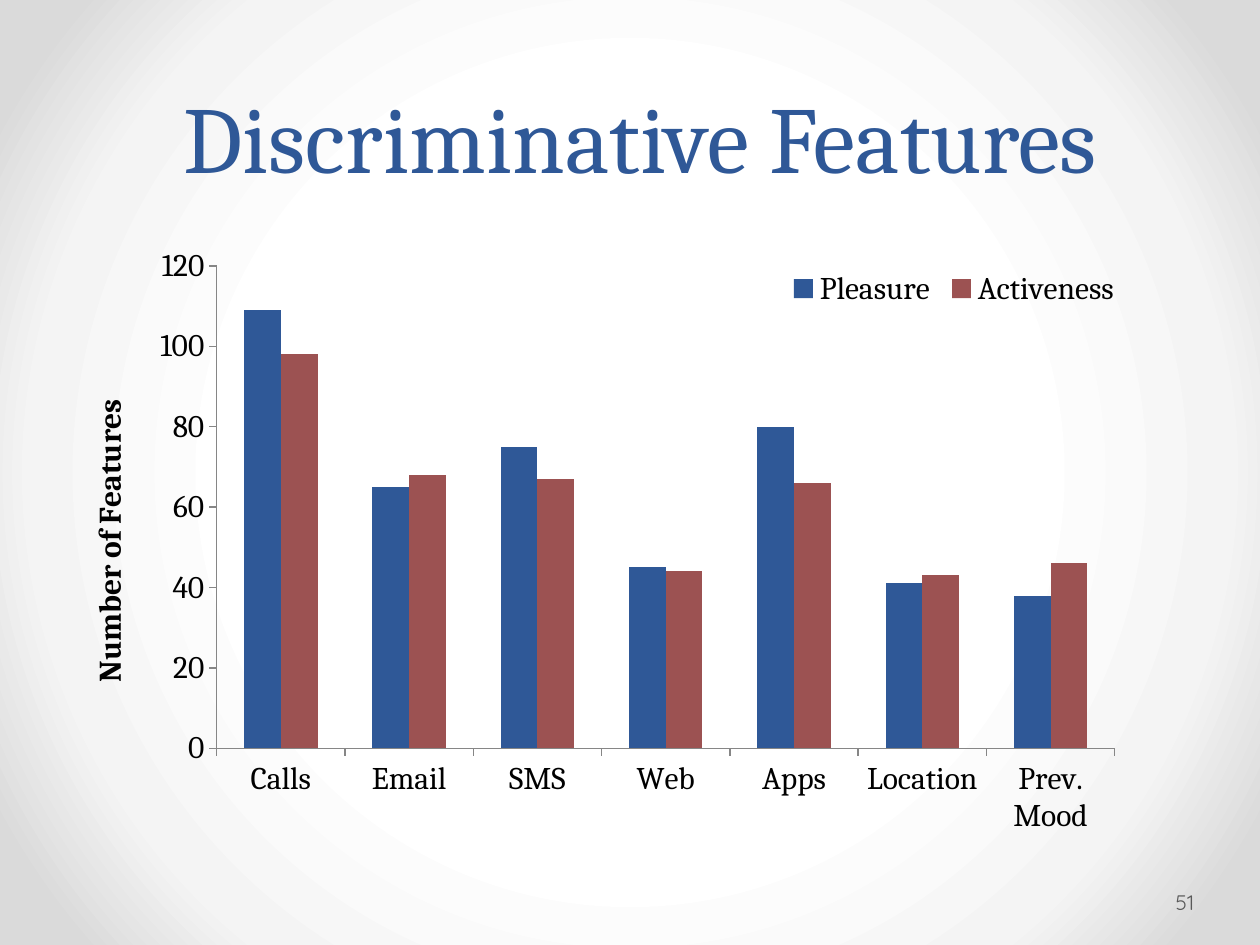
"""Builds the slide comparing discriminative features for pleasure and activeness."""
from lxml import etree
from pptx import Presentation
from pptx import util as u
from pptx.chart.data import CategoryChartData
from pptx.dml.color import RGBColor
from pptx.enum import chart as ch, text
from pptx.oxml import parse_xml
from pptx.oxml.ns import nsdecls, qn

BLUE = RGBColor(0x2F, 0x58, 0x97)
RED = RGBColor(0x9C, 0x52, 0x52)
BLACK = RGBColor(0, 0, 0)
GREY = RGBColor(0x59, 0x59, 0x59)
AXIS_GREY = RGBColor(0x86, 0x86, 0x86)
WHITE = RGBColor(0xFF, 0xFF, 0xFF)
PALE = RGBColor(0xF4, 0xF4, 0xF4)
SILVER = RGBColor(0xDA, 0xDA, 0xDA)

FEATURES = ["Calls", "Email", "SMS", "Web", "Apps", "Location", "Prev. Mood"]
COUNTS = {
    "Pleasure": (BLUE, [109, 65, 75, 45, 80, 41, 38]),
    "Activeness": (RED, [98, 68, 67, 44, 66, 43, 46]),
}


class Deck:
    SERIF, SANS = "Cambria", "Quicksand"

    def __init__(self, width=10, height=7.5):
        self.prs = Presentation()
        self.prs.slide_width, self.prs.slide_height = u.Inches(width), u.Inches(height)
        self.slide = self.prs.slides.add_slide(self.prs.slide_layouts[5])

    def box(self, left, top, width, height):
        across, down = self.prs.slide_width, self.prs.slide_height
        return int(left * across), int(top * down), int(width * across), int(height * down)

    def style(self, font, size, color, face):
        font.size, font.name, font.color.rgb = u.Pt(size), face, color

    def background(self, stops):
        marks = "".join(f'<a:gs pos="{share * 1000}"><a:srgbClr val="{color}"/></a:gs>'
                        for share, color in stops)
        glow = parse_xml(
            f'<a:gradFill {nsdecls("a")} rotWithShape="1"><a:gsLst>{marks}</a:gsLst>'
            '<a:path path="circle"><a:fillToRect l="50000" t="50000" r="50000" b="50000"/>'
            '</a:path></a:gradFill>')
        fill = self.slide.background.fill
        fill.solid()
        plain = self.slide.element.find(".//" + qn("p:bgPr")).find(qn("a:solidFill"))
        plain.getparent().replace(plain, glow)

    def title(self, words, place):
        heading = self.slide.shapes.title
        heading.left, heading.top, heading.width, heading.height = self.box(*place)
        frame = heading.text_frame
        frame.vertical_anchor = text.MSO_ANCHOR.BOTTOM
        frame.auto_size = text.MSO_AUTO_SIZE.NONE
        line = frame.paragraphs[0]
        line.alignment, line.line_spacing = text.PP_ALIGN.CENTER, u.Pt(58)
        run = line.add_run()
        run.text = words
        self.style(run.font, 54, BLUE, self.SERIF)

    def page_number(self, number, place):
        frame = self.slide.shapes.add_textbox(*self.box(*place)).text_frame
        frame.word_wrap = True
        frame.vertical_anchor = text.MSO_ANCHOR.MIDDLE
        frame.margin_left = u.Inches(0.03)
        frame.margin_right = u.Inches(0.05)
        run = frame.paragraphs[0].add_run()
        run.text = number
        self.style(run.font, 12, GREY, self.SANS)

    def layout(self, part, inner=False, **shares):
        element = part.find(qn("c:layout"))
        if element is None:
            element = parse_xml(f'<c:layout {nsdecls("c")}/>')
            before = part.find(qn("c:legendPos"))
            if before is None:
                before = part.find(qn("c:tx"))
            if before is None:
                part.insert(0, element)
            else:
                before.addnext(element)
        for child in list(element):
            element.remove(child)
        manual = etree.SubElement(element, qn("c:manualLayout"))
        if inner:
            etree.SubElement(manual, qn("c:layoutTarget")).set("val", "inner")
        for mode in ("xMode", "yMode"):
            etree.SubElement(manual, qn("c:" + mode)).set("val", "edge")
        for side, share in shares.items():
            etree.SubElement(manual, qn("c:" + side)).set("val", str(share))

    def columns(self, categories, series, axis_name, place):
        data = CategoryChartData()
        data.categories = categories
        for name, (_, values) in series.items():
            data.add_series(name, values)
        chart = self.slide.shapes.add_chart(
            ch.XL_CHART_TYPE.COLUMN_CLUSTERED, *self.box(*place), data).chart
        self.style(chart.font, 18, BLACK, self.SERIF)
        chart.has_title = False
        plot = chart.plots[0]
        plot.gap_width, plot.overlap, plot.vary_by_categories = 150, 0, False
        for bars, (color, _) in zip(plot.series, series.values()):
            bars.format.fill.solid()
            bars.format.fill.fore_color.rgb = color
        for axis in (chart.category_axis, chart.value_axis):
            axis.has_major_gridlines = False
            axis.major_tick_mark = ch.XL_TICK_MARK.OUTSIDE
            axis.format.line.color.rgb = AXIS_GREY
            axis.format.line.width = u.Pt(0.75)
        scale = chart.value_axis
        scale.minimum_scale, scale.maximum_scale, scale.major_unit = 0, 120, 20
        run = scale.axis_title.text_frame.paragraphs[0].add_run()
        run.text = axis_name
        run.font.bold = True
        self.style(run.font, 18, BLACK, self.SERIF)
        chart.has_legend = True
        chart.legend.position = ch.XL_LEGEND_POSITION.RIGHT
        chart.legend.include_in_layout = True
        self.layout(chart.legend._element, x=0.66, y=0.06, w=0.31, h=0.07)
        plot_area = chart._chartSpace.find(".//" + qn("c:plotArea"))
        self.layout(plot_area, inner=True, x=0.15, y=0.06, w=0.81, h=0.74)


def main():
    deck = Deck()
    deck.background([(50, WHITE), (76, PALE), (92, SILVER)])
    deck.title(" Discriminative Features", (0.05, 0.04, 0.9, 0.17))
    deck.page_number("51", (0.93, 0.93, 0.06, 0.05))
    deck.columns(FEATURES, COUNTS, "Number of Features", (0.04, 0.24, 0.88, 0.69))
    deck.prs.save("out.pptx")


if __name__ == "__main__":
    main()
